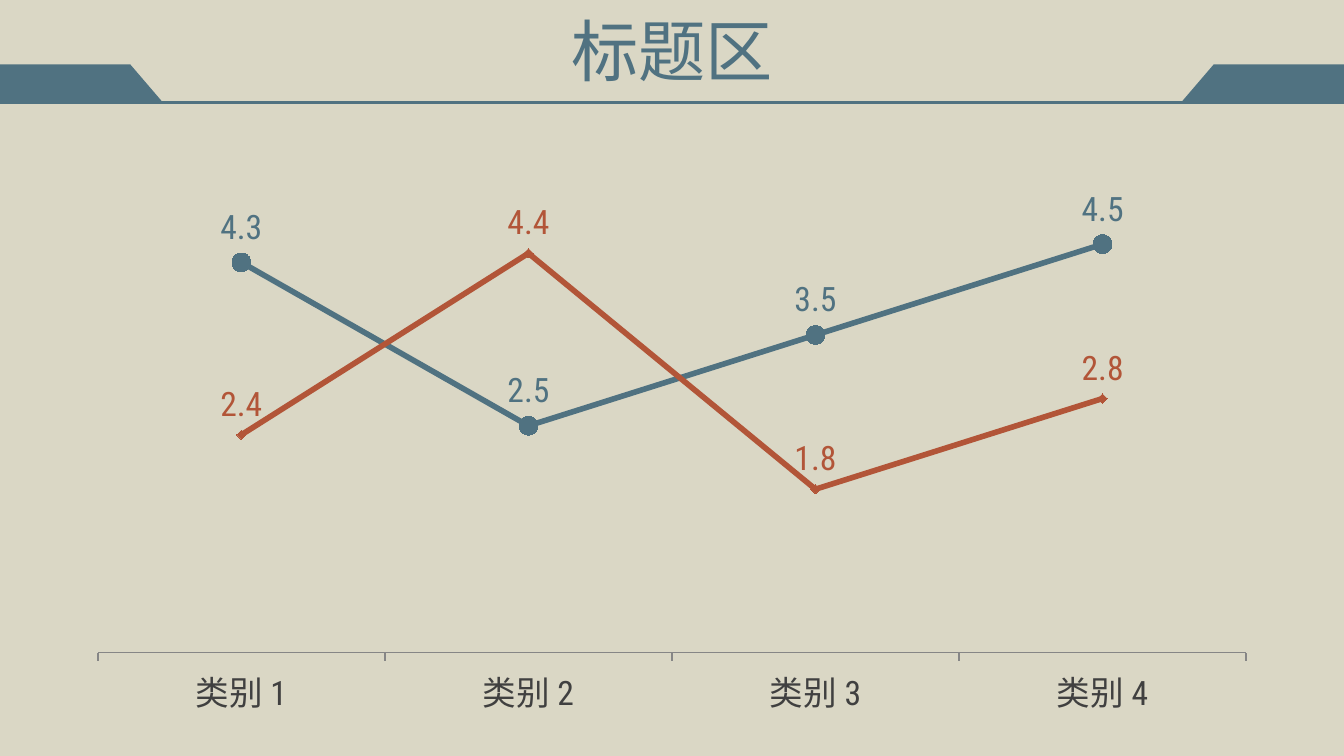
from lxml.etree import SubElement
from pptx import Presentation
from pptx.chart.data import CategoryChartData
from pptx.dml.color import RGBColor
from pptx.enum.chart import XL_CHART_TYPE, XL_LABEL_POSITION, XL_MARKER_STYLE, XL_TICK_MARK
from pptx.enum.shapes import MSO_CONNECTOR
from pptx.enum.text import MSO_ANCHOR, PP_ALIGN
from pptx.oxml.ns import qn
from pptx.util import Inches, Pt

FONT = "Roboto Condensed"
BLUE, RED, GREY, AXIS, SAND = "507281", "B25538", "404040", "868686", "DAD7C5"
SLIDE_WIDTH = 10
SLIDE_HEIGHT = SLIDE_WIDTH * 9 / 16
CATEGORIES = ["类别 1", "类别 2", "类别 3", "类别 4"]
SERIES = [
    ("Series 1", (4.3, 2.5, 3.5, 4.5), BLUE, XL_MARKER_STYLE.CIRCLE, 10),
    ("Series 2", (2.4, 4.4, 1.8, 2.8), RED, XL_MARKER_STYLE.DIAMOND, 5),
]


def paint(color_format, value):
    """Set a colour from a hex string."""
    color_format.rgb = RGBColor.from_string(value)


def fill_solid(fill, value):
    """Give a fill one solid colour."""
    fill.solid()
    paint(fill.fore_color, value)


def style_font(font, size, color):
    """Set typeface, size and colour of a font."""
    font.name, font.size = FONT, Pt(size)
    paint(font.color, color)


def add_header_band(slide, left, top, width, height):
    """Draw the rule and the mirrored corner tabs that stand on it."""
    right, bottom = left + width, top + height
    rule = slide.shapes.add_connector(
        MSO_CONNECTOR.STRAIGHT, Inches(left), Inches(bottom), Inches(right), Inches(bottom))
    paint(rule.line.color, BLUE)
    rule.line.width = Pt(1.5)
    SubElement(rule._element.spPr, qn("a:effectLst"))
    for edge, inward in ((left, 1), (right, -1)):
        corners = [(edge + inward * 0.97, top), (edge + inward * 1.21, bottom), (edge, bottom)]
        outline = slide.shapes.build_freeform(Inches(edge), Inches(top), scale=1.0)
        outline.add_line_segments([(Inches(x), Inches(y)) for x, y in corners], close=True)
        tab = outline.convert_to_shape()
        tab.shadow.inherit = False
        fill_solid(tab.fill, BLUE)
        tab.line.fill.background()


def add_title(slide, left, top, width, height):
    """Place the centred heading."""
    heading = slide.shapes.add_textbox(
        Inches(left), Inches(top), Inches(width), Inches(height)).text_frame
    heading.word_wrap = True
    heading.vertical_anchor = MSO_ANCHOR.MIDDLE
    paragraph = heading.paragraphs[0]
    paragraph.alignment = PP_ALIGN.CENTER
    run = paragraph.add_run()
    run.text = "标题区"
    style_font(run.font, 36, BLUE)


def style_series(series, color, marker_style, marker_size):
    """Colour the line, markers and value labels of one series."""
    series.smooth = False
    series.format.line.width = Pt(3)
    paint(series.format.line.color, color)
    series.marker.style, series.marker.size = marker_style, marker_size
    fill_solid(series.marker.format.fill, color)
    paint(series.marker.format.line.color, color)
    labels = series.data_labels
    labels.show_value = True
    labels.position = XL_LABEL_POSITION.ABOVE
    style_font(labels.font, 18, color)


def add_line_chart(slide, left, top, width, height):
    """Place the two-series line chart."""
    chart_data = CategoryChartData()
    chart_data.categories = CATEGORIES
    for name, values, *_ in SERIES:
        chart_data.add_series(name, values)
    chart = slide.shapes.add_chart(
        XL_CHART_TYPE.LINE_MARKERS, Inches(left), Inches(top),
        Inches(width), Inches(height), chart_data).chart
    chart.has_title = chart.has_legend = False
    style_font(chart.font, 18, GREY)
    values_axis, categories_axis = chart.value_axis, chart.category_axis
    values_axis.visible = values_axis.has_major_gridlines = False
    values_axis.minimum_scale, values_axis.maximum_scale = 0, 5
    categories_axis.major_tick_mark = XL_TICK_MARK.OUTSIDE
    paint(categories_axis.format.line.color, AXIS)
    chart.plots[0].vary_by_categories = False
    for series, (_, _, *style) in zip(chart.plots[0].series, SERIES):
        style_series(series, *style)


def main():
    """Build and save the slide."""
    deck = Presentation()
    deck.slide_width, deck.slide_height = Inches(SLIDE_WIDTH), Inches(SLIDE_HEIGHT)
    slide = deck.slides.add_slide(deck.slide_layouts[6])
    fill_solid(slide.background.fill, SAND)
    add_header_band(slide, 0, 0.48, SLIDE_WIDTH, 0.28)
    add_title(slide, 0.5, -0.1, 9, 0.94)
    add_line_chart(slide, 0.55, 1.4, 8.9, 4)
    deck.save("out.pptx")


if __name__ == "__main__":
    main()
